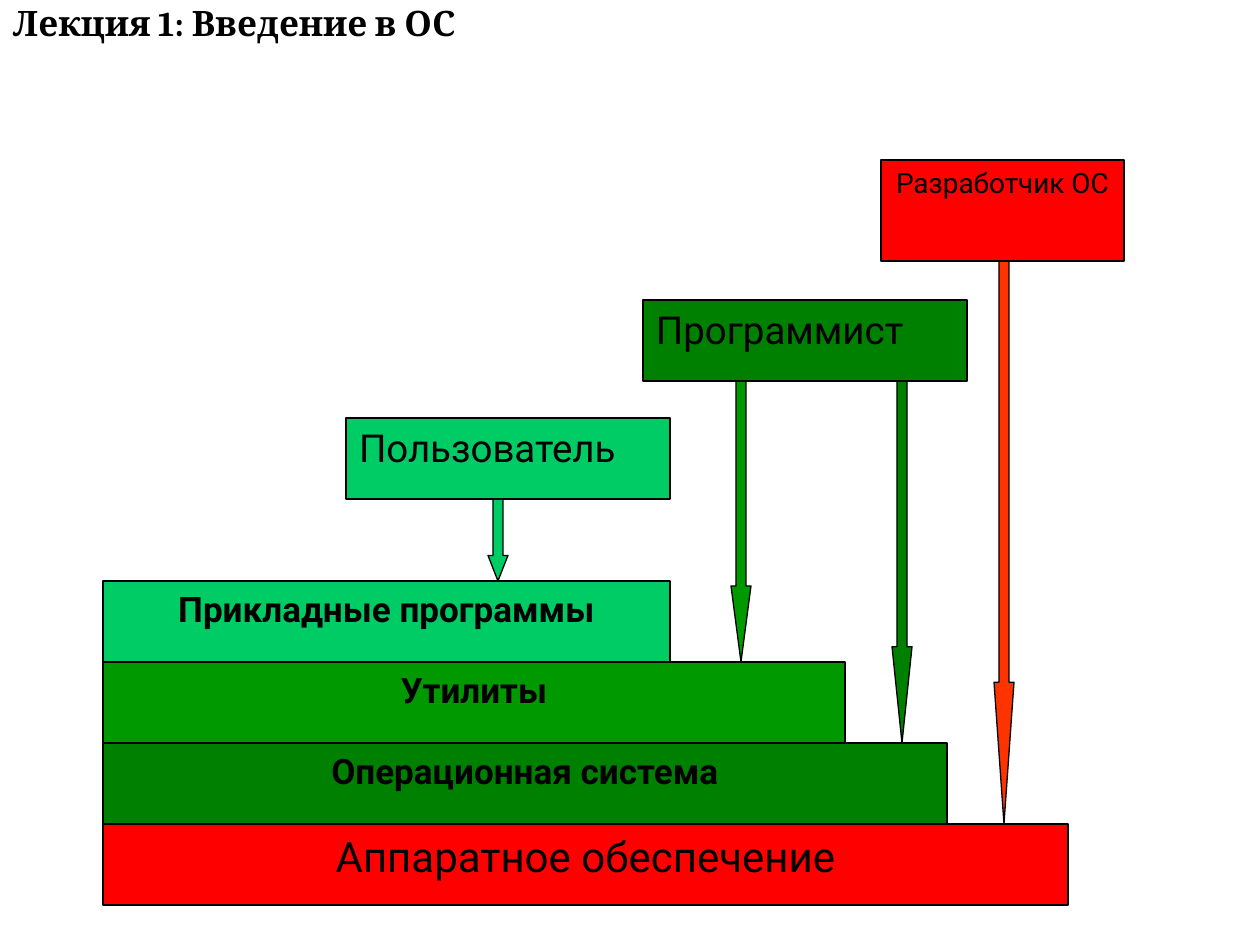
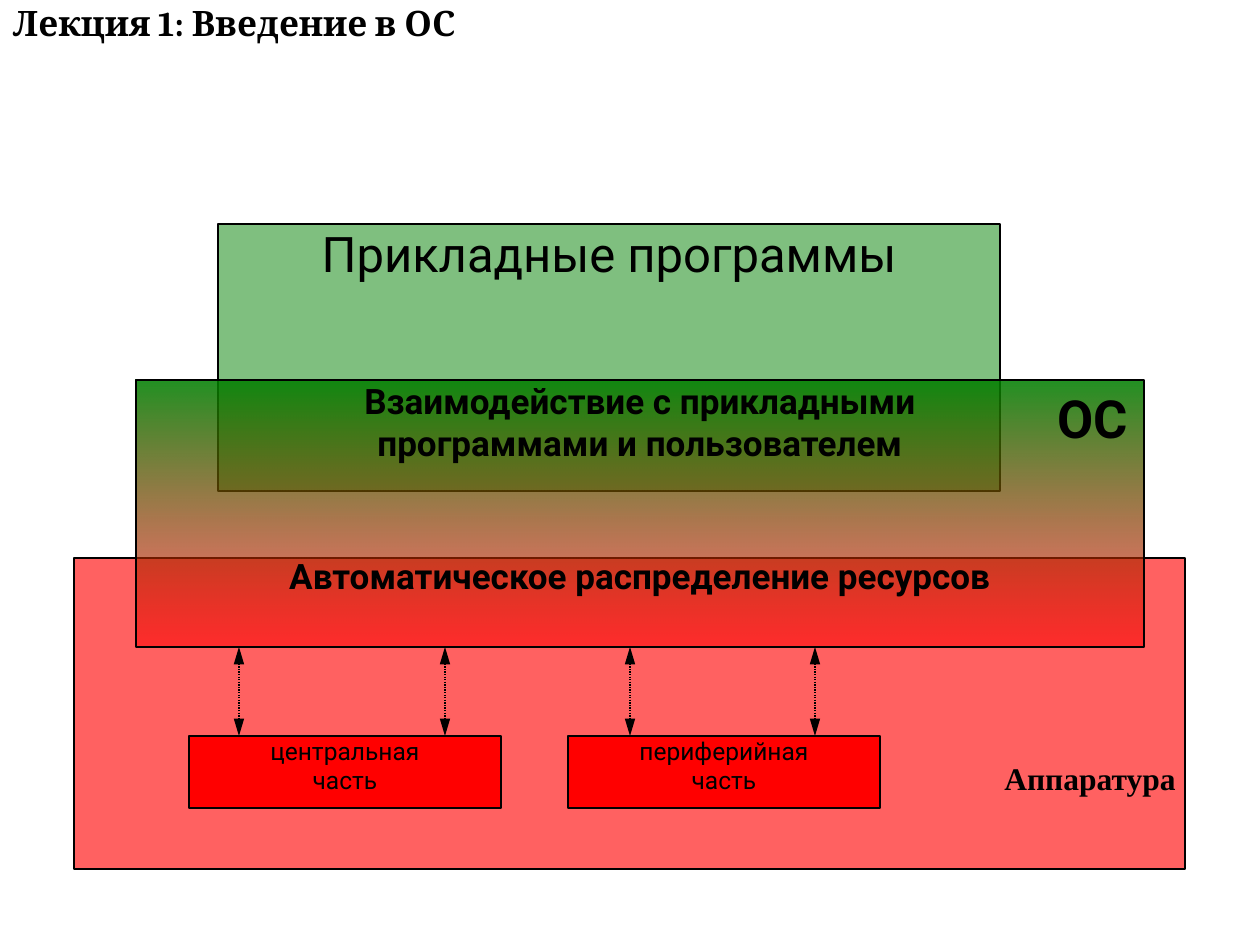
from dataclasses import dataclass
from typing import NamedTuple

from lxml.etree import SubElement
from pptx import Presentation
from pptx.dml.color import RGBColor
from pptx.enum.dml import MSO_LINE
from pptx.enum.shapes import MSO_CONNECTOR as Connector, MSO_SHAPE as Preset
from pptx.enum.text import MSO_ANCHOR as Anchor, PP_ALIGN as Align
from pptx.oxml.ns import qn
from pptx.shapes.autoshape import Shape
from pptx.slide import Slide
from pptx.util import Emu, Pt

PX_PER_INCH = 126
PAGE_WIDTH, PAGE_HEIGHT = 1260, 945


@dataclass(frozen=True)
class Theme:
    ink: str = "000000"
    red: str = "FF0000"
    orange: str = "FF3300"
    dark_green: str = "008000"
    green: str = "009900"
    mint: str = "00CC66"
    sans: str = "Roboto"
    title_font: str = "Cambria"
    caption_font: str = "Times New Roman"
    part_size: int = 14
    small_size: int = 16
    caption_size: int = 18
    body_size: int = 20
    role_size: int = 22
    base_size: int = 24
    apps_size: int = 28
    badge_size: int = 30
    outline: float = 0.75


THEME = Theme()


class Area(NamedTuple):
    left: int
    top: int
    width: int
    height: int


class Type(NamedTuple):
    size: int
    bold: bool = False
    align: Align = Align.CENTER
    font: str = THEME.sans


class Margins(NamedTuple):
    x: int
    y: int


class Layer(NamedTuple):
    label: str
    width: int
    color: str
    type: Type


class Role(NamedTuple):
    label: str
    area: Area
    color: str
    type: Type


class Access(NamedTuple):
    """Arrow from a role down to the top of a layer."""
    center: int
    top: int
    layer: int
    color: str


PADDED, TIGHT = Margins(13, 6), Margins(0, 0)
STRONG = Type(THEME.body_size, bold=True)
ROLE_TYPE = Type(THEME.role_size, align=Align.LEFT)
TITLE_TYPE = Type(THEME.body_size, True, Align.LEFT, THEME.title_font)

STACK_LEFT, STACK_TOP, LAYER_HEIGHT = 103, 581, 81
LAYERS = [
    Layer("Прикладные программы", 567, THEME.mint, STRONG),
    Layer("Утилиты", 742, THEME.green, STRONG),
    Layer("Операционная система", 844, THEME.dark_green, STRONG),
    Layer("Аппаратное обеспечение", 965, THEME.red, Type(THEME.base_size)),
]
ARROW_WIDTH = 20
ACCESSES = [
    Access(741, 358, 1, THEME.green),
    Access(902, 358, 2, THEME.dark_green),
    Access(1004, 257, 3, THEME.orange),
    Access(498, 479, 0, THEME.mint),
]
ROLES = [
    Role("Программист", Area(643, 300, 324, 81), THEME.dark_green, ROLE_TYPE),
    Role("Разработчик ОС", Area(881, 160, 243, 101), THEME.red,
         Type(THEME.small_size)),
    Role("Пользователь", Area(346, 418, 324, 81), THEME.mint, ROLE_TYPE),
]

HARDWARE = Area(74, 558, 1111, 311)
APPS = Area(218, 224, 782, 267)
SYSTEM = Area(136, 380, 1008, 267)
RESOURCES_GAP = 52
PARTS_TOP = 736
PARTS = {"центральная": 189, "периферийная": 568}
LINK_CENTERS = [239, 445, 630, 815]


def px(length: int) -> Emu:
    return Emu(round(length * 914400 / PX_PER_INCH))


def rgb(color: str) -> RGBColor:
    return RGBColor.from_string(color)


def write(shape: Shape, lines: list[str], style: Type, margins: Margins) -> None:
    frame = shape.text_frame
    frame.word_wrap = True
    frame.vertical_anchor = Anchor.TOP
    frame.margin_left = frame.margin_right = px(margins.x)
    frame.margin_top = frame.margin_bottom = px(margins.y)
    for index, line in enumerate(lines):
        paragraph = frame.add_paragraph() if index else frame.paragraphs[0]
        paragraph.alignment = style.align
        run = paragraph.add_run()
        run.text = line
        run.font.name = style.font
        run.font.size = Pt(style.size)
        run.font.bold = style.bold
        run.font.color.rgb = rgb(THEME.ink)


def add_label(slide: Slide, area: Area, text: str, style: Type,
              margins: Margins = PADDED) -> Shape:
    label = slide.shapes.add_textbox(*map(px, area))
    write(label, [text], style, margins)
    return label


def add_block(slide: Slide, area: Area, colors: list[str],
              opacities: tuple[int, ...] = (),
              preset: Preset = Preset.RECTANGLE) -> Shape:
    """Outlined shape; two colours make a gradient from top to bottom."""
    block = slide.shapes.add_shape(preset, *map(px, area))
    block.shadow.inherit = False
    if len(colors) == 1:
        block.fill.solid()
        block.fill.fore_color.rgb = rgb(colors[0])
    else:
        block.fill.gradient()
        block.fill.gradient_angle = 270
        for stop, color in zip(block.fill.gradient_stops, colors):
            stop.color.rgb = rgb(color)
    fill_colors = list(block.element.spPr.iter(qn("a:srgbClr")))
    for fill_color, opacity in zip(fill_colors, opacities):
        SubElement(fill_color, qn("a:alpha"), val=str(opacity * 1000))
    block.line.color.rgb = rgb(THEME.ink)
    block.line.width = Pt(THEME.outline)
    return block


def layer_top(index: int) -> int:
    return STACK_TOP + index * LAYER_HEIGHT


def add_access(slide: Slide, access: Access) -> None:
    height = layer_top(access.layer) - access.top
    area = Area(access.center - ARROW_WIDTH // 2, access.top, ARROW_WIDTH, height)
    arrow = add_block(slide, area, [access.color], preset=Preset.DOWN_ARROW)
    arrow.adjustments[0] = 0.5
    arrow.adjustments[1] = height / 4 / ARROW_WIDTH


def add_link(slide: Slide, center: int, top: int, bottom: int) -> None:
    """Dotted line with an arrowhead at each end."""
    link = slide.shapes.add_connector(
        Connector.STRAIGHT, *map(px, (center, top, center, bottom)))
    link.line.color.rgb = rgb(THEME.ink)
    link.line.width = Pt(THEME.outline)
    link.line.dash_style = MSO_LINE.ROUND_DOT
    properties = link.element.spPr
    outline = properties.find(qn("a:ln"))
    for end in ("a:headEnd", "a:tailEnd"):
        SubElement(outline, qn(end), type="triangle", w="med", len="lg")
    SubElement(properties, qn("a:effectLst"))


def add_lecture_slide(deck: Presentation) -> Slide:
    slide = deck.slides.add_slide(deck.slide_layouts[6])
    title = add_label(slide, Area(0, 0, 480, 88), "Лекция 1: Введение в ОС", TITLE_TYPE)
    title.text_frame.paragraphs[0].line_spacing = 0.9
    return slide


def build_layers_slide(deck: Presentation) -> None:
    slide = add_lecture_slide(deck)
    for index, layer in enumerate(LAYERS):
        area = Area(STACK_LEFT, layer_top(index), layer.width, LAYER_HEIGHT)
        write(add_block(slide, area, [layer.color]), [layer.label], layer.type, PADDED)
    for access in ACCESSES:
        add_access(slide, access)
    for role in ROLES:
        write(add_block(slide, role.area, [role.color]), [role.label], role.type, PADDED)


def build_system_slide(deck: Presentation) -> None:
    slide = add_lecture_slide(deck)
    add_block(slide, HARDWARE, [THEME.red], (62,))
    apps = add_block(slide, APPS, [THEME.dark_green], (50,))
    write(apps, ["Прикладные программы"], Type(THEME.apps_size), TIGHT)
    system = add_block(slide, SYSTEM, [THEME.dark_green, THEME.red], (87, 54))
    write(system, ["Взаимодействие с прикладными", "программами и пользователем",
                   "Автоматическое распределение ресурсов"], STRONG, TIGHT)
    system.text_frame.paragraphs[-1].space_before = Pt(RESOURCES_GAP)
    add_label(slide, Area(1000, 759, 180, 69), "Аппаратура",
              Type(THEME.caption_size, True, font=THEME.caption_font), TIGHT)
    for kind, left in PARTS.items():
        part = add_block(slide, Area(left, PARTS_TOP, 312, 72), [THEME.red])
        write(part, [kind, "часть"], Type(THEME.part_size), TIGHT)
    for center in LINK_CENTERS:
        add_link(slide, center, SYSTEM.top + SYSTEM.height, PARTS_TOP)
    add_label(slide, Area(1021, SYSTEM.top, 144, 111), "ОС",
              Type(THEME.badge_size, True))


def main() -> None:
    deck = Presentation()
    deck.slide_width, deck.slide_height = px(PAGE_WIDTH), px(PAGE_HEIGHT)
    build_layers_slide(deck)
    build_system_slide(deck)
    deck.save("out.pptx")


if __name__ == "__main__":
    main()
